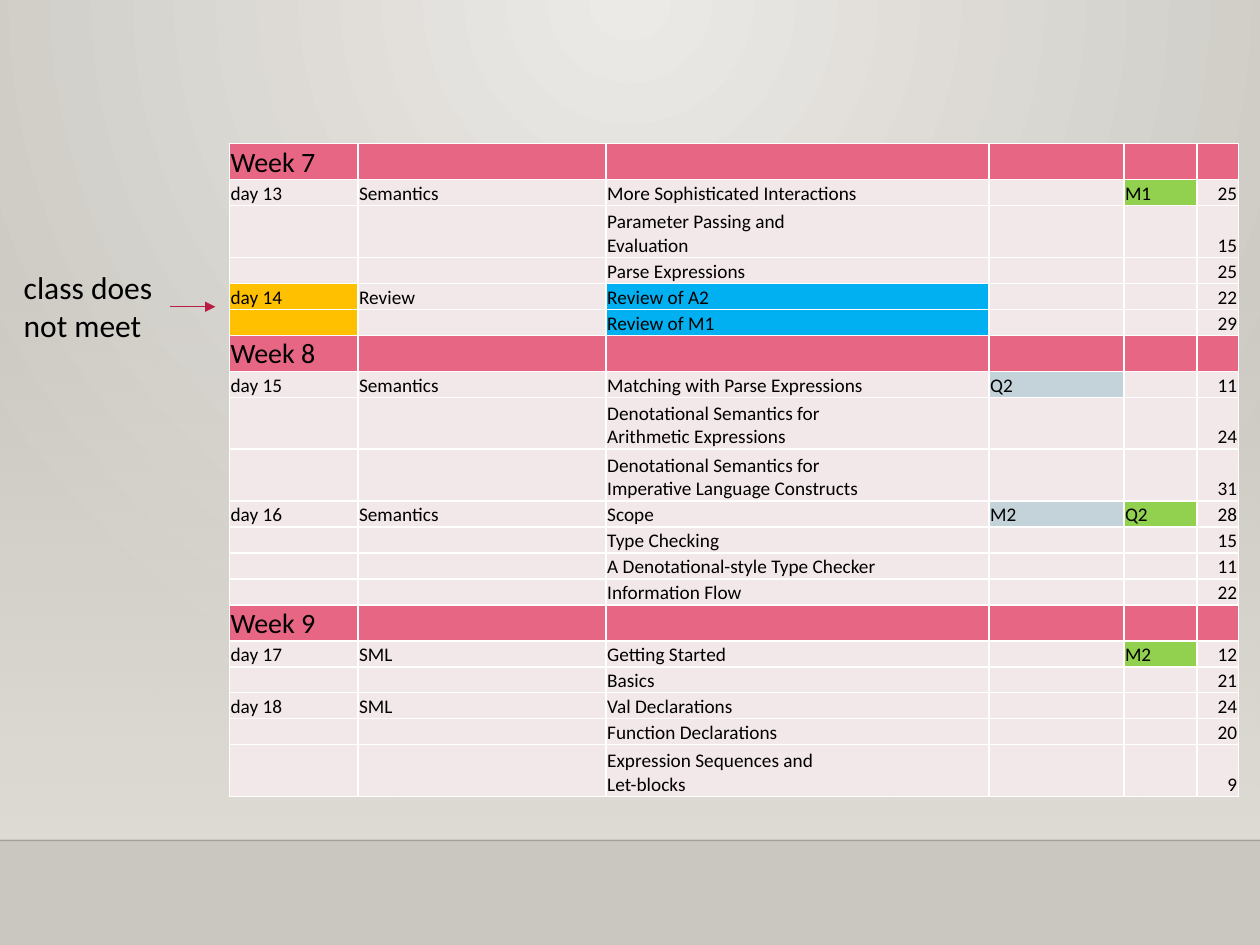
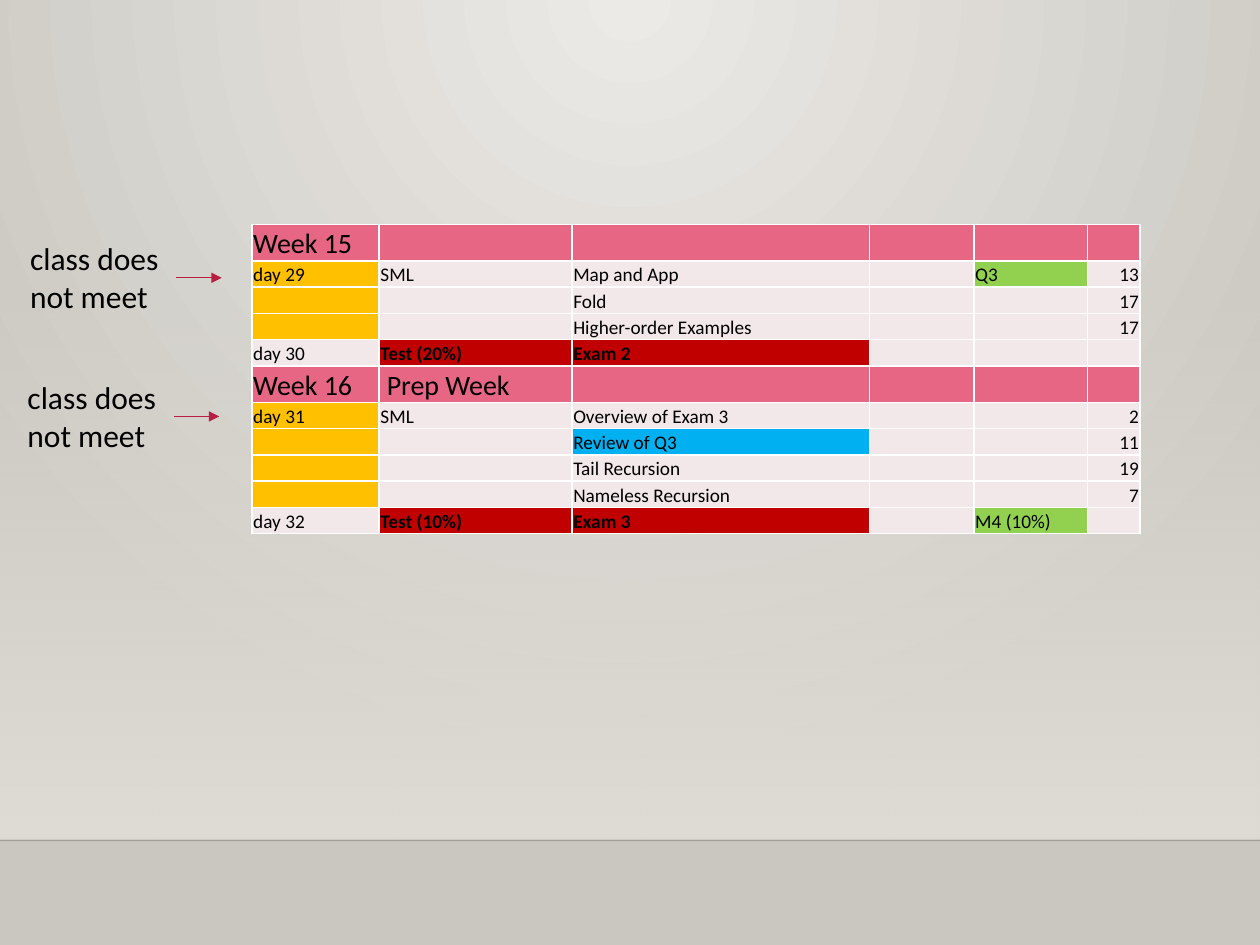
import lxml.etree
import pptx
import pptx.dml.color
import pptx.enum.shapes
import pptx.enum.text
import pptx.oxml.ns
import pptx.util

RGBColor = pptx.dml.color.RGBColor
BLACK = RGBColor(0x00, 0x00, 0x00)
RULE = RGBColor(0x00, 0x00, 0x01)
BG_LIGHT = RGBColor(0xEC, 0xEA, 0xE7)
BG_DARK = RGBColor(0xCA, 0xC7, 0xC1)
WALL = RGBColor(0xDF, 0xDB, 0xD5)
ARROW = RGBColor(0xB7, 0x1E, 0x42)
WEEK = RGBColor(0xE6, 0x66, 0x84)
PLAIN = RGBColor(0xF3, 0xE8, 0xE9)
NO_CLASS = RGBColor(0xFF, 0xC0, 0x00)
REVIEW = RGBColor(0x00, 0xB0, 0xF0)
ASSIGNED = RGBColor(0xC3, 0xD3, 0xD9)
DUE = RGBColor(0x92, 0xD0, 0x50)
EXAM = RGBColor(0xC0, 0x00, 0x00)

FONT = "Calibri"
NO_CLASS_DAYS = {"day 14", "day 29", "day 31"}

SCHEDULES = [
    {
        "left": 18.2, "top": 11.4,
        "columns": [10.2, 19.7, 30.4, 10.7, 5.8, 3.3],
        "week_height": 2.86, "line_height": 2.06,
        "notes": [(0.9, 20.8)],
        "rows": [
            ["Week 7"],
            ["day 13", "Semantics", "More Sophisticated Interactions", "", "M1", "25"],
            ["", "", "Parameter Passing and \vEvaluation", "", "", "15"],
            ["", "", "Parse Expressions", "", "", "25"],
            ["day 14", "Review", "Review of A2", "", "", "22"],
            ["", "", "Review of M1", "", "", "29"],
            ["Week 8"],
            ["day 15", "Semantics", "Matching with Parse Expressions", "Q2", "", "11"],
            ["", "", "Denotational Semantics for \vArithmetic Expressions", "", "", "24"],
            ["", "", "Denotational Semantics for \vImperative Language Constructs", "", "", "31"],
            ["day 16", "Semantics", "Scope", "M2", "Q2", "28"],
            ["", "", "Type Checking", "", "", "15"],
            ["", "", "A Denotational-style Type Checker", "", "", "11"],
            ["", "", "Information Flow", "", "", "22"],
            ["Week 9"],
            ["day 17", "SML", "Getting Started", "", "M2", "12"],
            ["", "", "Basics", "", "", "21"],
            ["day 18", "SML", "Val Declarations", "", "", "24"],
            ["", "", "Function Declarations", "", "", "20"],
            ["", "", "Expression Sequences and \vLet-blocks", "", "", "9"],
        ],
    },
    {
        "left": 20, "top": 17.8,
        "columns": [10.1, 15.3, 23.6, 8.3, 9, 4.2],
        "week_height": 2.92, "line_height": 2.08,
        "notes": [(1.2, 29.5), (1.4, 18.5)],
        "rows": [
            ["Week 15"],
            ["day 29", "SML", "Map and App", "", "Q3", "13"],
            ["", "", "Fold", "", "", "17"],
            ["", "", "Higher-order Examples", "", "", "17"],
            ["day 30", "Test (20%)", "Exam 2"],
            ["Week 16", "\N{NO-BREAK SPACE}Prep Week"],
            ["day 31", "SML", "Overview of Exam 3", "", "", "2"],
            ["", "", "Review of Q3", "", "", "11"],
            ["", "", "Tail Recursion", "", "", "19"],
            ["", "", "Nameless Recursion", "", "", "7"],
            ["day 32", "Test (10%)", "Exam 3", "", "M4 (10%)"],
        ],
    },
]

prs = pptx.Presentation()
prs.slide_width = pptx.util.Inches(10)
prs.slide_height = pptx.util.Inches(7.5)
UNIT = prs.slide_width / 100
qn = pptx.oxml.ns.qn


def grid(n):
    return pptx.util.Emu(int(n * UNIT))


def add_line(s, x1, y1, x2, y2, color, width):
    c = s.shapes.add_connector(
        pptx.enum.shapes.MSO_CONNECTOR.STRAIGHT, grid(x1), grid(y1), grid(x2), grid(y2))
    c.line.color.rgb = color
    c.line.width = pptx.util.Pt(width)
    lxml.etree.SubElement(c._element.spPr, qn("a:effectLst"))
    return c.line._get_or_add_ln()


master = prs.slide_master
fill = master.background.fill
fill.gradient()
for stop, color in zip(fill.gradient_stops, (BG_LIGHT, BG_DARK)):
    stop.color.rgb = color
grad = next(master.element.iter(qn("a:gradFill")))
grad.remove(grad.find(qn("a:lin")))
circle = lxml.etree.SubElement(grad, qn("a:path"), {"path": "circle"})
lxml.etree.SubElement(circle, qn("a:fillToRect"),
                      {"l": "43000", "t": "0", "r": "43000", "b": "100000"})

for schedule in SCHEDULES:
    s = prs.slides.add_slide(prs.slide_layouts[6])

    wall = s.shapes.add_shape(
        pptx.enum.shapes.MSO_SHAPE.RECTANGLE, 0, grid(22), prs.slide_width, grid(44.6))
    wall.shadow.inherit = False
    wall.line.fill.background()
    wall.fill.gradient()
    wall.fill.gradient_angle = 270
    for stop in wall.fill.gradient_stops:
        stop.color.rgb = WALL
    clear = next(wall._element.spPr.iter(qn("a:srgbClr")))
    lxml.etree.SubElement(clear, qn("a:alpha"), {"val": "0"})

    ln = add_line(s, 0, 66.7, 100, 66.7, RULE, 1)
    lxml.etree.SubElement(next(ln.iter(qn("a:srgbClr"))), qn("a:alpha"), {"val": "20000"})

    rows, columns = schedule["rows"], schedule["columns"]
    line_height = schedule["line_height"]
    table = s.shapes.add_table(
        len(rows), len(columns), grid(schedule["left"]), grid(schedule["top"]),
        grid(sum(columns)), grid(line_height * len(rows))).table
    table.first_row = False
    table.horz_banding = False
    for column, width in zip(table.columns, columns):
        column.width = grid(width)

    day = ""
    for row, texts in zip(table.rows, rows):
        day = texts[0] or day
        is_week = day.startswith("Week")
        is_exam = any(text.startswith("Test") for text in texts)
        lines = 1 + max(text.count("\v") for text in texts)
        row.height = grid(schedule["week_height"] if is_week else line_height * lines)
        texts = texts + [""] * (len(columns) - len(texts))
        for i, (cell, text) in enumerate(zip(row.cells, texts)):
            color = PLAIN
            if is_week:
                color = WEEK
            elif i == 0 and day in NO_CLASS_DAYS:
                color = NO_CLASS
            elif i in (1, 2) and is_exam:
                color = EXAM
            elif text.startswith("Review of"):
                color = REVIEW
            elif i in (3, 4) and text:
                color = ASSIGNED if i == 3 else DUE
            cell.fill.solid()
            cell.fill.fore_color.rgb = color
            cell.vertical_anchor = pptx.enum.text.MSO_ANCHOR.BOTTOM
            cell.margin_left = cell.margin_right = cell.margin_top = grid(0.1)
            cell.margin_bottom = 0
            p = cell.text_frame.paragraphs[0]
            if text:
                p.text = text
            else:
                lxml.etree.SubElement(p._p, qn("a:endParaRPr"), {"sz": "1100"})
            if i == 5:
                p.alignment = pptx.enum.text.PP_ALIGN.RIGHT
            p.font.name = FONT
            p.font.size = pptx.util.Pt(16 if is_week and text else 11)
            p.font.bold = color == EXAM
            p.font.color.rgb = BLACK

    for x, y in schedule["notes"]:
        sp = s.shapes.add_textbox(grid(x), grid(y), grid(12.6), grid(7.1))
        tf = sp.text_frame
        tf.word_wrap = False
        tf.text = "class does\nnot meet"
        for p in tf.paragraphs:
            p.font.name = FONT
            p.font.size = pptx.util.Pt(18)
            p.font.color.rgb = BLACK
        ln = add_line(s, x + 12.6, y + 3.55, x + 16.2, y + 3.55, ARROW, 0.75)
        lxml.etree.SubElement(ln, qn("a:tailEnd"), {"type": "triangle"})

prs.save("out.pptx")
